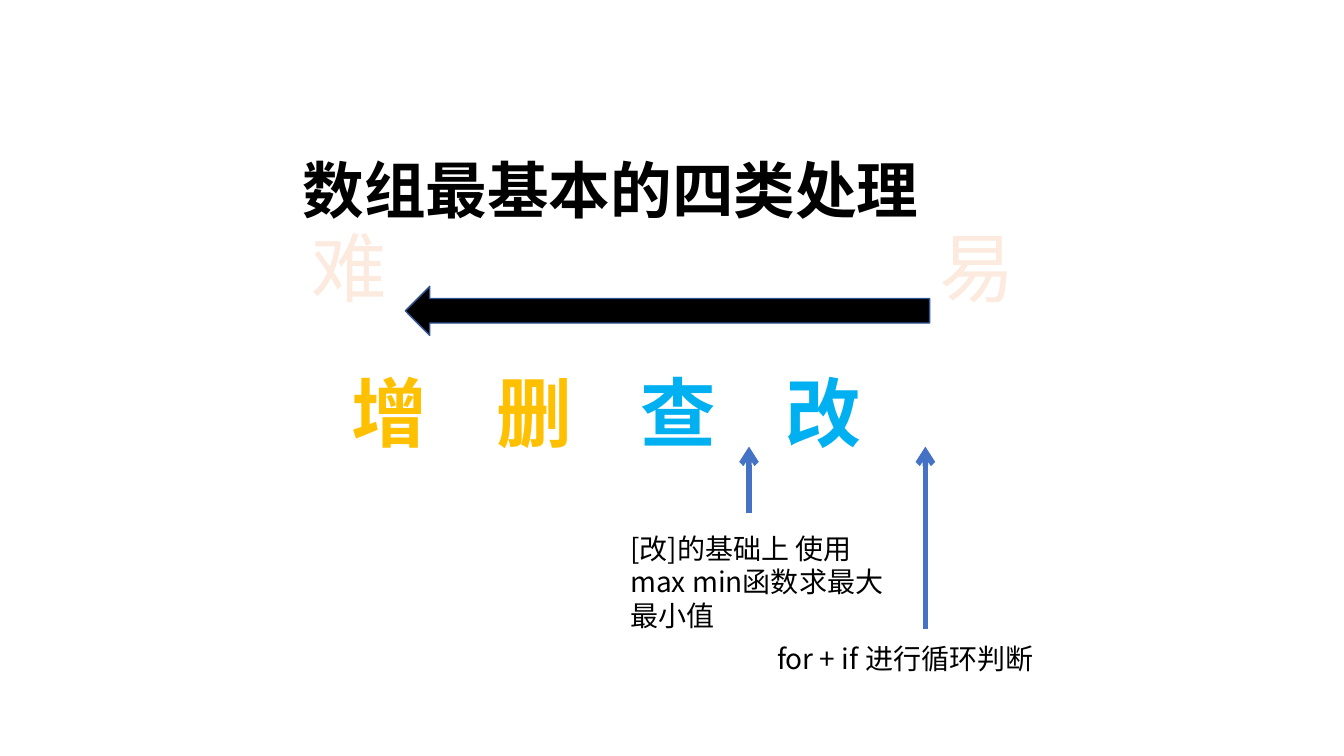
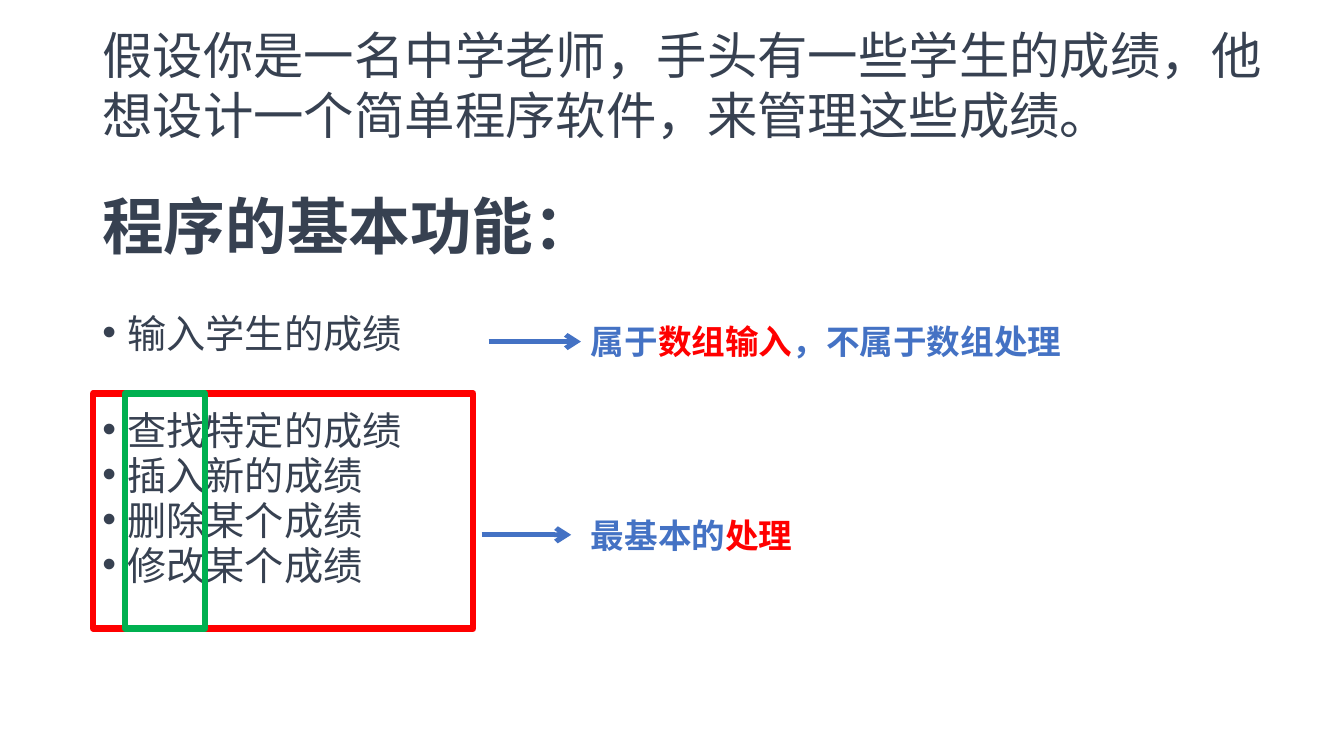
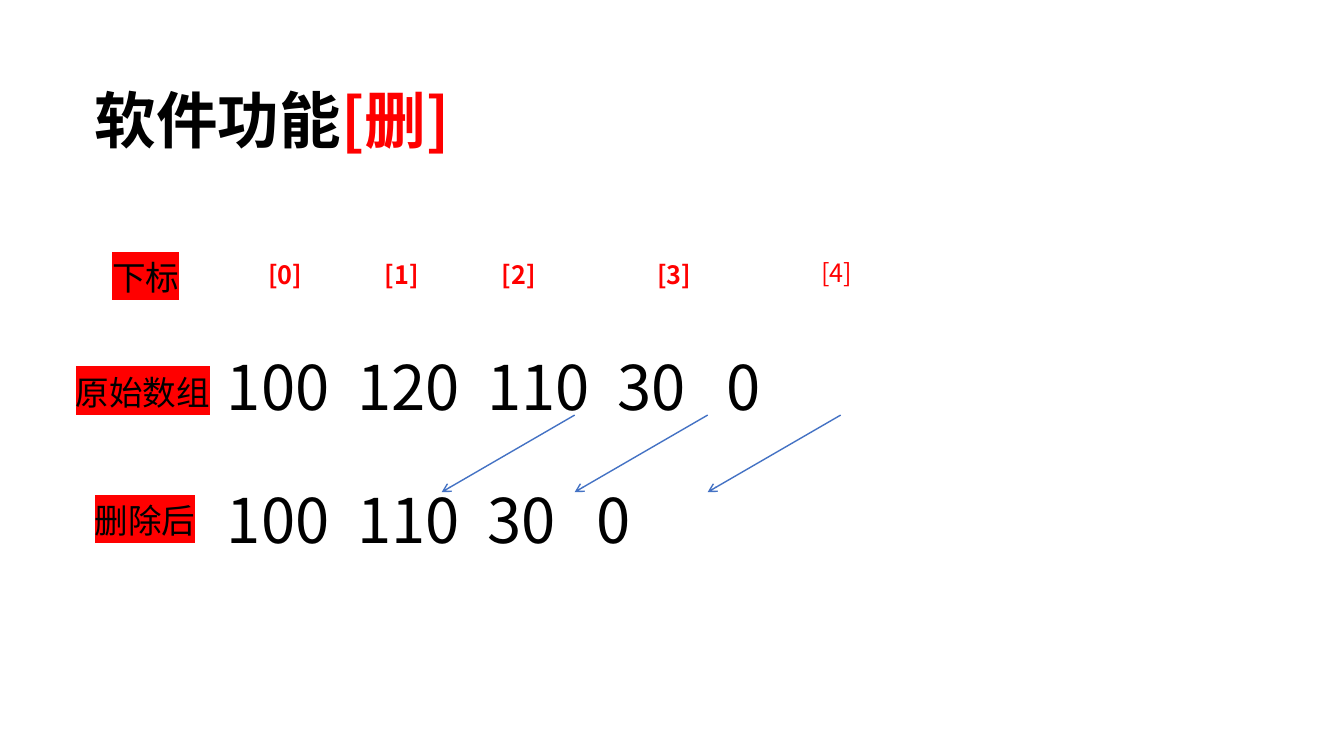
from lxml import etree
from pptx import Presentation
from pptx import util as u
from pptx.dml.color import RGBColor
from pptx.enum import shapes, text
from pptx.oxml.ns import qn

BLACK, RED, BLUE, SLATE = "000000", "FF0000", "4472C4", "374151"
AMBER, SKY, GREEN, PALE, NAVY = "FFC000", "00B0F0", "00B050", "FCEADE", "2F5597"
CJK = "Noto Sans CJK SC"

TITLE = dict(size=44, bold=True)
NUMBERS = dict(size=44)
NOTE = dict(size=20)
LABEL = dict(size=24, highlight=RED)
REMARK = dict(size=24, bold=True, color=BLUE)
INDEX = dict(size=18, color=RED)
SINGLE = dict(line_spacing=0.9)


def rgb(value):
    return RGBColor.from_string(value)


def add_xml(parent, tag, **values):
    child = etree.SubElement(parent, qn(tag))
    for name, value in values.items():
        child.set(name, str(value))
    return child


class Board:
    def __init__(self):
        self.deck = Presentation()
        self.deck.slide_width, self.deck.slide_height = u.Pt(960), u.Pt(540)
        self.page = None

    def new_page(self):
        self.page = self.deck.slides.add_slide(self.deck.slide_layouts[6])

    def add_spans(self, para, spans, style):
        for words, *changes in spans:
            look = dict(color=BLACK, font=CJK, highlight=None) | style
            if changes:
                look["color"] = changes[0]
            span = para.add_run()
            span.text = words
            formats = dict(size=u.Pt(look["size"]), bold=look.get("bold", False))
            for name, value in formats.items():
                setattr(span.font, name, value)
            span.font.color.rgb = rgb(look["color"])
            properties = span._r.get_or_add_rPr()
            if look["highlight"]:
                mark = add_xml(properties, "a:highlight")
                add_xml(mark, "a:srgbClr", val=look["highlight"])
            span.font.name = look["font"]
            add_xml(properties, "a:ea", typeface=CJK)

    def text(self, area, spans, style, spacing=None, middle=False, wrap=True, tabs=()):
        box = self.page.shapes.add_textbox(*map(u.Pt, area))
        frame = box.text_frame
        frame.word_wrap = wrap
        if middle:
            frame.vertical_anchor = text.MSO_ANCHOR.MIDDLE
        para = frame.paragraphs[0]
        for name, value in (spacing or {}).items():
            setattr(para, name, value)
        if tabs:
            stops = add_xml(para._p.get_or_add_pPr(), "a:tabLst")
            for place in tabs:
                add_xml(stops, "a:tab", pos=u.Pt(place), algn="l")
        self.add_spans(para, spans, style)
        return box

    def bullets(self, area, items, style):
        box = self.page.shapes.add_textbox(*map(u.Pt, area))
        frame = box.text_frame
        frame.word_wrap = True
        for number, (words, gap) in enumerate(items):
            para = frame.add_paragraph() if number else frame.paragraphs[0]
            formats = dict(line_spacing=0.72, space_before=u.Pt(gap))
            for name, value in formats.items():
                setattr(para, name, value)
            properties = para._p.get_or_add_pPr()
            properties.set("marL", str(u.Pt(18)))
            properties.set("indent", str(u.Pt(-18)))
            add_xml(properties, "a:buFont", typeface="Arial")
            add_xml(properties, "a:buChar", char="•")
            self.add_spans(para, [(words,)], style)

    def shape(self, kind, area, line, width, fill=None):
        shape = self.page.shapes.add_shape(kind, *map(u.Pt, area))
        shape.shadow.inherit = False
        if fill:
            shape.fill.solid()
            shape.fill.fore_color.rgb = rgb(fill)
        else:
            shape.fill.background()
        shape.line.color.rgb = rgb(line)
        shape.line.width = u.Pt(width)

    def arrow(self, start, end, width, target=None):
        line = self.page.shapes.add_connector(
            shapes.MSO_CONNECTOR.STRAIGHT, *map(u.Pt, (*start, *end)))
        if target is not None:
            line.end_connect(target, 1)
        line.line.color.rgb = rgb(BLUE)
        line.line.width = u.Pt(width)
        properties = line._element.spPr
        add_xml(properties.find(qn("a:ln")), "a:tailEnd", type="arrow")
        add_xml(properties, "a:effectLst")

    def table_row(self, area, widths, cells, style):
        table = self.page.shapes.add_table(1, len(widths), *map(u.Pt, area)).table
        for column, width in zip(table.columns, widths):
            column.width = u.Pt(width)
        for cell in table.iter_cells():
            cell.fill.background()
        for number, (words, inset) in enumerate(cells):
            cell = table.cell(0, number)
            cell.margin_left = u.Pt(inset)
            self.add_spans(cell.text_frame.paragraphs[0], [(words,)], style)


def four_operations(board):
    board.new_page()
    board.text((209, 108, 480, 60), [("数组最基本的四类处理",)], TITLE, SINGLE, middle=True)
    board.text((244, 258, 440, 80), [("增\t删\t", AMBER), ("查\t改", SKY)],
               TITLE | dict(size=54), SINGLE, middle=True,
               tabs=[103.25 * step for step in (1, 2, 3)])
    board.arrow((535, 366.5), (535, 319), 4)
    board.text((443, 376, 209.5, 80), [("[改]的基础上 使用max min函数求最大最小值",)], NOTE)
    board.arrow((661, 449), (661, 319), 4)
    board.text((548, 455, 252, 32), [("for + if 进行循环判断",)], NOTE)
    board.shape(shapes.MSO_SHAPE.LEFT_ARROW, (289.5, 204.5, 374.5, 35), NAVY, 1, BLACK)
    for left, word in ((215.5, "难"), (664, "易")):
        board.text((left, 154, 74, 73), [(word,)], dict(size=54, color=PALE))


def program_functions(board):
    board.new_page()
    board.text((66, 111.5, 828, 104.5), [("程序的基本功能：",)],
               TITLE | dict(color=SLATE), SINGLE, middle=True)
    board.bullets((66, 226, 828, 222), [
        ("输入学生的成绩", 8), ("查找特定的成绩", 45), ("插入新的成绩", 8),
        ("删除某个成绩", 8), ("修改某个成绩", 8),
    ], dict(size=28, color=SLATE, font="Arial"))
    remark = board.text((415, 226, 510, 36), [
        ("属于",), ("数组输入", RED), ("，不属于数组处理",)], REMARK)
    board.text((415, 364, 162, 36), [("最基本的",), ("处理", RED)], REMARK)
    for left, width, color in ((66.5, 271.5, RED), (89.5, 57, GREEN)):
        board.shape(shapes.MSO_SHAPE.RECTANGLE, (left, 281, width, 168), color, 4.5)
    board.arrow((349, 244), (415, 244), 3.5, remark)
    board.arrow((344, 382), (408, 382), 3.5)
    board.text((66, 13.5, 870, 97), [
        ("假设你是一名中学老师，手头有一些学生的成绩，他想设计一个简单程序软件，来管理这些成绩。",)],
        dict(size=36, color=SLATE))


def delete_function(board):
    board.new_page()
    for top, width, words, tabs in (
            (227, 740, "100\t120\t110\t30\t0", (93, 186, 279, 357)),
            (322, 503, "100\t110\t30\t0", (93, 186, 264))):
        board.text((155, top, width, 104.5), [(words,)], NUMBERS, SINGLE,
                   middle=True, tabs=tabs)
    board.table_row((184.5, 178.5, 541.5, 29),
                    (67.5, 67.5, 119, 119, 16.5, 16.5, 67.5, 67.5),
                    (("[0]", 7.2), ("[1]", 23), ("[2]", 39), ("[3]", 31)),
                    INDEX | dict(bold=True))
    board.text((579.5, 180, 72, 29), [("[4]",)], INDEX)
    for left, top, width, words in (
            (73, 180, 62.5, "下标"), (47, 262, 110.5, "原始数组"), (60.5, 353.5, 86.5, "删除后")):
        board.text((left, top, width, 36), [(words,)], LABEL, wrap=False)
    for step in range(3):
        left = 315.5 + 95 * step
        board.arrow((left + 95, 296.5), (left, 351.5), 1)
    board.text((60.5, 36, 828, 104.5), [("软件功能",), ("[删]", RED)], TITLE, SINGLE,
               middle=True)


def main():
    board = Board()
    for build in (four_operations, program_functions, delete_function):
        build(board)
    board.deck.save("out.pptx")


if __name__ == "__main__":
    main()
